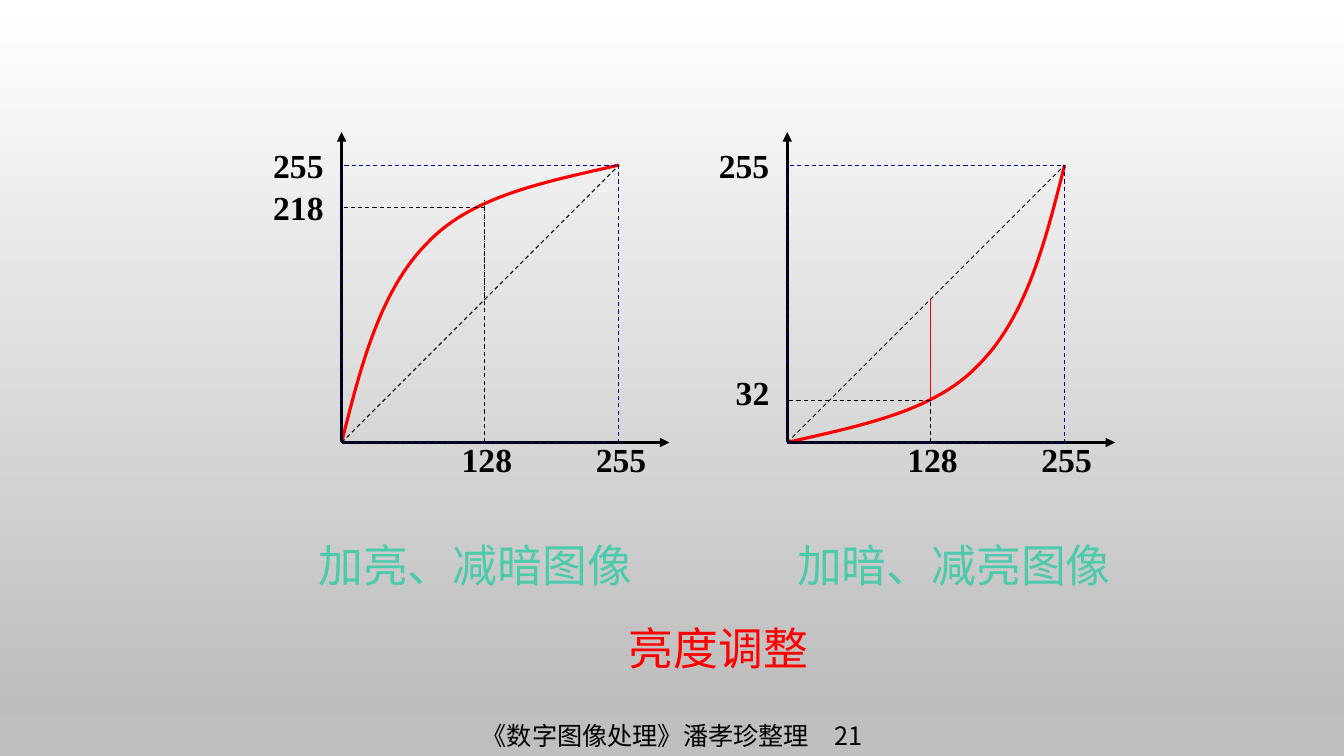
import pptx
import pptx.util
import pptx.dml.color
import pptx.enum.dml
import pptx.enum.shapes
import pptx.enum.text
import pptx.oxml
import pptx.oxml.ns
from pptx.util import Cm

COLORS = {
    "black": "000000",
    "red": "FF0000",
    "navy": "000099",
    "teal": "4BCAAD",
    "footer": "BFBFBF",
    "sky_top": "FFFFFF",
    "sky_bottom": "B9B9B9",
}
DASH = pptx.enum.dml.MSO_LINE.DASH
DOT = pptx.enum.dml.MSO_LINE.ROUND_DOT
SIDE = 6.99
MIDTONE = 3.61
BASELINE = 11.15
BRIGHTEN_CURVE = [(0, 0), (0.07, 0.28), (0.14, 0.55), (0.31, 0.72),
                  (0.47, 0.89), (0.74, 0.94), (1, 1)]


def rgb(name):
    return pptx.dml.color.RGBColor.from_string(COLORS[name])


def style_line(line, color, width, dash=None):
    line.color.rgb = rgb(color)
    line.width = pptx.util.Pt(width)
    if dash is not None:
        line.dash_style = dash


def format_text(paragraph, text, size, font, color, bold=False):
    paragraph.text = text
    run = paragraph.runs[0]
    run.font.size = pptx.util.Pt(size)
    run.font.name = font
    run.font.bold = bold
    run.font.color.rgb = rgb(color)


def add_line(slide, origin, start, end, color="black", width=0.75, dash=None, arrow=False):
    line = slide.shapes.add_connector(
        pptx.enum.shapes.MSO_CONNECTOR.STRAIGHT,
        Cm(origin + start[0]), Cm(BASELINE - start[1]),
        Cm(origin + end[0]), Cm(BASELINE - end[1]))
    style_line(line.line, color, width, dash)
    properties = line._element.spPr
    if arrow:
        outline = line.line._get_or_add_ln()
        outline.append(pptx.oxml.parse_xml(
            f'<a:tailEnd {pptx.oxml.ns.nsdecls("a")} type="triangle"/>'))
    properties.append(pptx.oxml.parse_xml(
        f'<a:effectLst {pptx.oxml.ns.nsdecls("a")}/>'))


def add_curve(slide, origin, points):
    places = [(Cm(origin + x * SIDE), Cm(BASELINE - y * SIDE)) for x, y in points]
    builder = slide.shapes.build_freeform(*places[0])
    builder.add_line_segments(places[1:], close=False)
    curve = builder.convert_to_shape()
    curve.shadow.inherit = False
    curve.fill.background()
    style_line(curve.line, "red", 2.25)
    segments = list(curve._element.iter(pptx.oxml.ns.qn("a:lnTo")))
    for first in range(0, len(segments), 3):
        bezier = pptx.oxml.parse_xml(
            f'<a:cubicBezTo {pptx.oxml.ns.nsdecls("a")}/>')
        segments[first].addprevious(bezier)
        for segment in segments[first:first + 3]:
            bezier.append(segment[0])
            segment.getparent().remove(segment)


def add_frame(slide, origin):
    frame = slide.shapes.add_shape(
        pptx.enum.shapes.MSO_SHAPE.RECTANGLE,
        Cm(origin), Cm(BASELINE - SIDE), Cm(SIDE), Cm(SIDE))
    frame.shadow.inherit = False
    frame.fill.background()
    style_line(frame.line, "navy", 0.75, DASH)


def add_label(slide, text, center_x, center_y, width=1.78, height=1.27):
    label = slide.shapes.add_textbox(
        Cm(center_x - width / 2), Cm(center_y - height / 2), Cm(width), Cm(height))
    text_frame = label.text_frame
    text_frame.word_wrap = False
    text_frame.auto_size = pptx.enum.text.MSO_AUTO_SIZE.SHAPE_TO_FIT_TEXT
    text_frame.vertical_anchor = pptx.enum.text.MSO_ANCHOR.MIDDLE
    paragraph = text_frame.paragraphs[0]
    paragraph.alignment = pptx.enum.text.PP_ALIGN.CENTER
    format_text(paragraph, text, 24, "Times New Roman", "black", bold=True)


def add_graph(slide, origin, curve_points, output, output_height, label_height, label_width):
    add_curve(slide, origin, curve_points)
    for axis_end in ((8.26, 0), (0, 7.82)):
        add_line(slide, origin, (0, 0), axis_end, width=2.25, arrow=True)
    add_frame(slide, origin)
    crossing = (MIDTONE, output_height)
    add_line(slide, origin, (MIDTONE, 0), crossing, dash=DASH)
    add_line(slide, origin, crossing, (0, output_height), dash=DASH)
    add_line(slide, origin, (0, 0), (SIDE, SIDE), dash=DASH)
    for text, offset in (("128", MIDTONE), ("255", SIDE)):
        add_label(slide, text, origin + offset + 0.05, BASELINE + 0.43)
    for text, height, width in (("255", SIDE, 1.78), (output, label_height, label_width)):
        add_label(slide, text, origin - 0.2 - width / 2, BASELINE - height, width)


def add_caption(slide, text, left, top, width, color):
    caption = slide.shapes.add_textbox(Cm(left), Cm(top), Cm(width), Cm(1.75))
    caption.text_frame.word_wrap = True
    caption.text_frame.auto_size = pptx.enum.text.MSO_AUTO_SIZE.SHAPE_TO_FIT_TEXT
    paragraph = caption.text_frame.paragraphs[0]
    paragraph.line_spacing = 1.1
    paragraph._p.get_or_add_pPr().set("marL", str(Cm(1.27)))
    format_text(paragraph, text, 32, "Calibri", color)


def add_footer(slide, text):
    footer = slide.shapes.add_shape(
        pptx.enum.shapes.MSO_SHAPE.RECTANGLE, Cm(0), Cm(18.03), Cm(33.87), Cm(1.02))
    footer.shadow.inherit = False
    footer.fill.solid()
    footer.fill.fore_color.rgb = rgb("footer")
    footer.line.fill.background()
    footer.text_frame.vertical_anchor = pptx.enum.text.MSO_ANCHOR.MIDDLE
    paragraph = footer.text_frame.paragraphs[0]
    paragraph.alignment = pptx.enum.text.PP_ALIGN.CENTER
    format_text(paragraph, text, 18, "Noto Sans CJK SC", "black")


def paint_background(slide):
    fill = slide.background.fill
    fill.gradient()
    fill.gradient_angle = 270
    for stop, color in zip(fill.gradient_stops, ("sky_top", "sky_bottom")):
        stop.color.rgb = rgb(color)


def main():
    presentation = pptx.Presentation()
    presentation.slide_width = Cm(33.87)
    presentation.slide_height = Cm(19.05)
    slide = presentation.slides.add_slide(presentation.slide_layouts[6])
    paint_background(slide)
    add_footer(slide, "《数字图像处理》潘孝珍整理　21")

    brighten_origin, darken_origin = 8.61, 19.84
    darken_curve = [(1 - x, 1 - y) for x, y in BRIGHTEN_CURVE]
    add_graph(slide, brighten_origin, BRIGHTEN_CURVE, "218", 5.92, 5.92, 1.78)
    add_graph(slide, darken_origin, darken_curve, "32", 1.06, 1.27, 1.35)
    add_line(slide, brighten_origin, (MIDTONE, 6.12), (MIDTONE, MIDTONE), dash=DOT)
    add_line(slide, darken_origin, (MIDTONE, 1.06), (MIDTONE, MIDTONE), color="red")

    add_caption(slide, "加亮、减暗图像", 6.5, 13.28, 9.73, "teal")
    add_caption(slide, "亮度调整", 14.33, 15.39, 7.42, "red")
    add_caption(slide, "加暗、减亮图像", 18.57, 13.28, 10.16, "teal")
    presentation.save("out.pptx")


if __name__ == "__main__":
    main()
